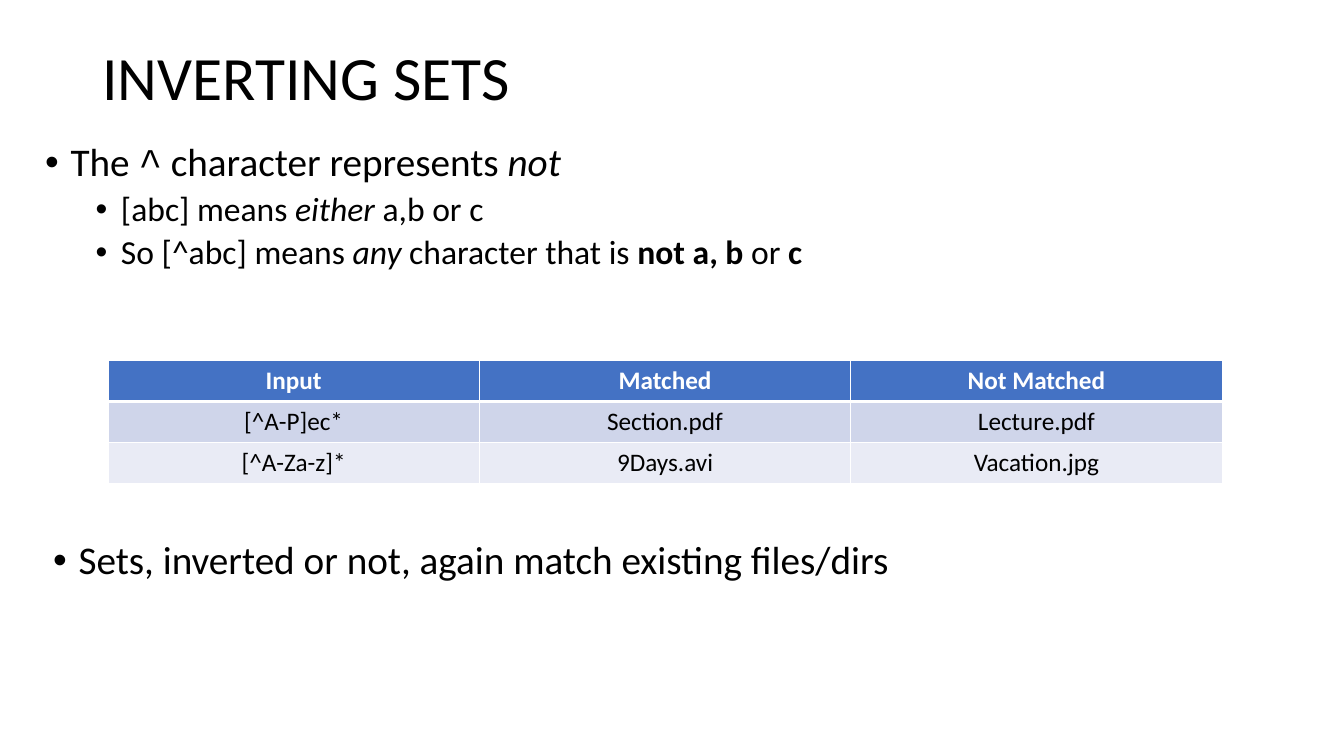
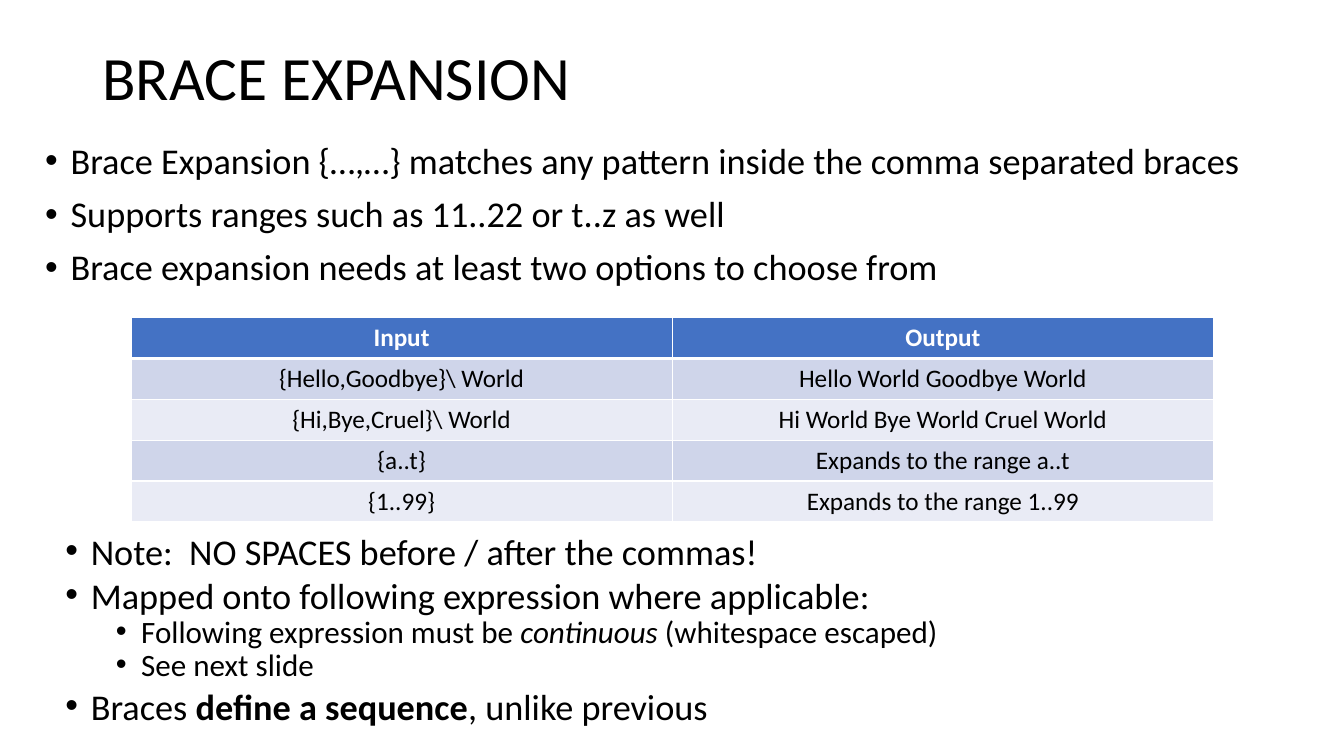
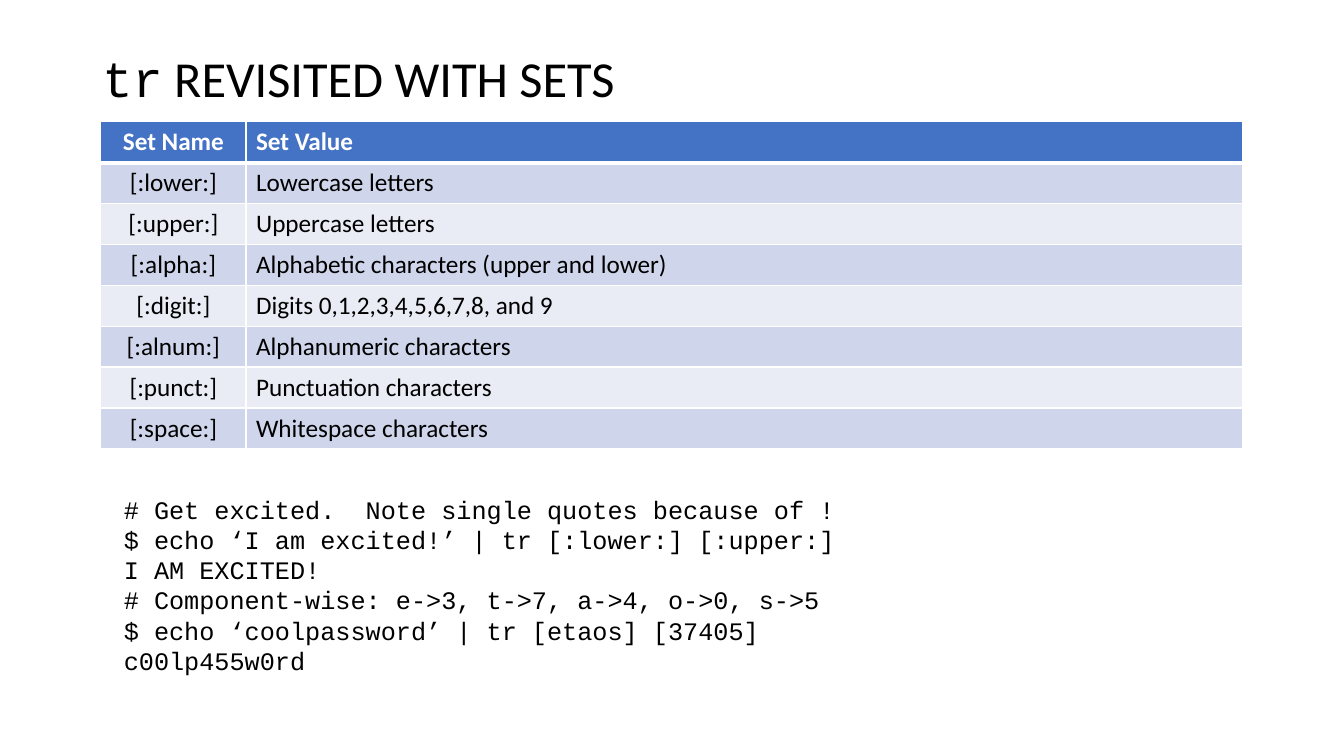
from lxml import etree
from pptx import Presentation
from pptx.dml.color import RGBColor
from pptx.enum.text import MSO_ANCHOR, PP_ALIGN
from pptx.oxml.ns import qn
from pptx.util import Cm, Pt

MIDDLE = MSO_ANCHOR.MIDDLE
LEFT, CENTER = PP_ALIGN.LEFT, PP_ALIGN.CENTER

COLORS = {
    "text": "000000",
    "background": "FFFFFF",
    "header": "4472C4",
    "header_text": "FFFFFF",
    "odd_row": "CFD5EA",
    "even_row": "E9EBF5",
    "border": "FFFFFF",
}
BODY_FONT, CODE_FONT = "Calibri", "Courier New"

# Boxes are left, top, width, height in centimetres.
SLIDE_SIZE = (33.87, 19.05)
TITLE_BOX = (2.33, 1.01, 29.21, 2.06)
TOP_BOX = (0.89, 3.48, 31.67, 4.14)
ROW_HEIGHT = 1.03
INDENT, LEVEL_STEP = 0.64, 1.27

# A run is a string, or a string with "bold", "italic" or "code".
# A bullet is a level and its runs.
SLIDES = [
    {
        "title": ["INVERTING SETS"],
        "title_size": 44,
        "bullets": [
            {
                "box": TOP_BOX, "sizes": (28, 24), "line_spacing": 0.9,
                "items": [
                    (0, ["The ", ("^", "code"), " character represents ", ("not", "italic")]),
                    (1, ["[abc] means ", ("either ", "italic"), "a,b or c"]),
                    (1, ["So [^abc] means ", ("any", "italic"), " character that is ",
                         ("not a, b ", "bold"), "or ", ("c", "bold")]),
                ],
            },
            {
                "box": (1.09, 13.51, 31.67, 4.14), "sizes": (28, 24), "line_spacing": 0.9,
                "items": [(0, ["Sets, inverted or not, again match existing files/dirs"])],
            },
        ],
        "table": {
            "position": (2.72, 9.09),
            "widths": [9.36] * 3,
            "alignments": [CENTER] * 3,
            "rows": [
                ("Input", "Matched", "Not Matched"),
                ("[^A-P]ec*", "Section.pdf", "Lecture.pdf"),
                ("[^A-Za-z]*", "9Days.avi", "Vacation.jpg"),
            ],
        },
    },
    {
        "title": ["BRACE EXPANSION"],
        "title_size": 44,
        "bullets": [
            {
                "box": TOP_BOX, "sizes": (25.9, 22.2), "line_spacing": 0.9,
                "items": [
                    (0, ["Brace Expansion {…,…} matches any pattern inside the comma separated braces"]),
                    (0, ["Supports ranges such as 11..22 or t..z as well"]),
                    (0, ["Brace expansion needs at least two options to choose from"]),
                ],
            },
            {
                "box": (1.4, 13.51, 31.67, 5.13), "sizes": (25.9, 22.2), "line_spacing": 0.7,
                "items": [
                    (0, ["Note:  NO SPACES before / after the commas!"]),
                    (0, ["Mapped onto following expression where applicable:"]),
                    (1, ["Following expression must be ", ("continuous", "italic"),
                         " (whitespace escaped)"]),
                    (1, ["See next slide"]),
                    (0, ["Braces ", ("define a sequence", "bold"), ", unlike previous"]),
                ],
            },
        ],
        "table": {
            "position": (3.3, 8),
            "widths": [13.64] * 2,
            "alignments": [CENTER] * 2,
            "rows": [
                ("Input", "Output"),
                ("{Hello,Goodbye}\\ World", "Hello World Goodbye World"),
                ("{Hi,Bye,Cruel}\\ World", "Hi World Bye World Cruel World"),
                ("{a..t}", "Expands to the range a..t"),
                ("{1..99}", "Expands to the range 1..99"),
            ],
        },
    },
    {
        "title": [("tr", "code"), " REVISITED WITH SETS"],
        "title_size": 36,
        "bullets": [],
        "table": {
            "position": (2.54, 3.07),
            "widths": [3.66, 25.12],
            "alignments": [CENTER, LEFT],
            "rows": [
                ("Set Name", "Set Value"),
                ("[:lower:]", "Lowercase letters"),
                ("[:upper:]", "Uppercase letters"),
                ("[:alpha:]", "Alphabetic characters (upper and lower)"),
                ("[:digit:]", "Digits 0,1,2,3,4,5,6,7,8, and 9"),
                ("[:alnum:]", "Alphanumeric characters"),
                ("[:punct:]", "Punctuation characters"),
                ("[:space:]", "Whitespace characters"),
            ],
        },
        "code": {
            "box": (2.87, 12.32, 27.61, 4.88),
            "lines": [
                "# Get excited.  Note single quotes because of !",
                "$ echo ‘I am excited!’ | tr [:lower:] [:upper:]\vI AM EXCITED!",
                "# Component-wise: e->3, t->7, a->4, o->0, s->5",
                "$ echo ‘coolpassword’ | tr [etaos] [37405]",
                "c00lp455w0rd",
            ],
        },
    },
]


def format_run(run, size, color="text", font=BODY_FONT, bold=False, italic=False):
    """Set the font of one run."""
    run.font.name = font
    run.font.size = Pt(size)
    run.font.color.rgb = RGBColor.from_string(COLORS[color])
    run.font.bold = bold
    run.font.italic = italic


def add_runs(paragraph, runs, size):
    """Add plain and styled runs to a paragraph."""
    for item in runs:
        text, style = (item, "") if isinstance(item, str) else item
        run = paragraph.add_run()
        run.text = text
        format_run(run, size, font=CODE_FONT if style == "code" else BODY_FONT,
                   bold=style == "bold", italic=style == "italic")


def add_text_frame(slide, box):
    """Add a wrapping text box and return its text frame."""
    text_frame = slide.shapes.add_textbox(*map(Cm, box)).text_frame
    text_frame.word_wrap = True
    return text_frame


def add_title(slide, runs, size):
    """Add the slide title."""
    text_frame = add_text_frame(slide, TITLE_BOX)
    text_frame.vertical_anchor = MIDDLE
    paragraph = text_frame.paragraphs[0]
    paragraph.line_spacing = 0.9
    add_runs(paragraph, runs, size)


def add_bullets(slide, box, sizes, line_spacing, items):
    """Add a two-level bullet list."""
    text_frame = add_text_frame(slide, box)
    for index, (level, runs) in enumerate(items):
        paragraph = text_frame.add_paragraph() if index else text_frame.paragraphs[0]
        paragraph.level = level
        paragraph.line_spacing = line_spacing
        paragraph.space_before = Pt((10, 5)[level])
        properties = paragraph._p.get_or_add_pPr()
        properties.set("marL", str(Cm(INDENT + level * LEVEL_STEP)))
        properties.set("indent", str(-Cm(INDENT)))
        etree.SubElement(properties, qn("a:buFont"), typeface="Arial")
        etree.SubElement(properties, qn("a:buChar"), char="•")
        add_runs(paragraph, runs, sizes[level])


def set_borders(cell, row):
    """Draw thin cell borders and a thick one under the header."""
    widths = {"L": 1, "R": 1, "T": 3 if row == 1 else 1, "B": 3 if row == 0 else 1}
    properties = cell._tc.get_or_add_tcPr()
    for side, width in widths.items():
        line = etree.SubElement(properties, qn(f"a:ln{side}"), w=str(Pt(width)))
        fill = etree.SubElement(line, qn("a:solidFill"))
        etree.SubElement(fill, qn("a:srgbClr"), val=COLORS["border"])


def add_table(slide, position, widths, alignments, rows):
    """Add a table with a header and alternating row fills."""
    frame = slide.shapes.add_table(
        len(rows), len(widths), *map(Cm, position),
        Cm(sum(widths)), Cm(ROW_HEIGHT * len(rows)))
    table = frame.table
    for column, width in zip(table.columns, widths):
        column.width = Cm(width)
    for row, texts in enumerate(rows):
        table.rows[row].height = Cm(ROW_HEIGHT)
        is_header = row == 0
        fill = "header" if is_header else ("even_row", "odd_row")[row % 2]
        for column, text in enumerate(texts):
            cell = table.cell(row, column)
            set_borders(cell, row)
            cell.fill.solid()
            cell.fill.fore_color.rgb = RGBColor.from_string(COLORS[fill])
            paragraph = cell.text_frame.paragraphs[0]
            paragraph.text = text
            paragraph.alignment = alignments[column]
            format_run(paragraph.runs[0], 18, "header_text" if is_header else "text",
                       bold=is_header)


def add_code(slide, box, lines):
    """Add a block of shell commands."""
    text_frame = add_text_frame(slide, box)
    text_frame.text = "\n".join(lines)
    for paragraph in text_frame.paragraphs:
        for run in paragraph.runs:
            format_run(run, 18, font=CODE_FONT)


def build_slide(presentation, content):
    """Build one slide from its content."""
    slide = presentation.slides.add_slide(presentation.slide_layouts[6])
    slide.background.fill.solid()
    slide.background.fill.fore_color.rgb = RGBColor.from_string(COLORS["background"])
    add_title(slide, content["title"], content["title_size"])
    for bullets in content["bullets"]:
        add_bullets(slide, **bullets)
    add_table(slide, **content["table"])
    if "code" in content:
        add_code(slide, **content["code"])


presentation = Presentation()
presentation.slide_width, presentation.slide_height = map(Cm, SLIDE_SIZE)
for content in SLIDES:
    build_slide(presentation, content)
presentation.save("out.pptx")
